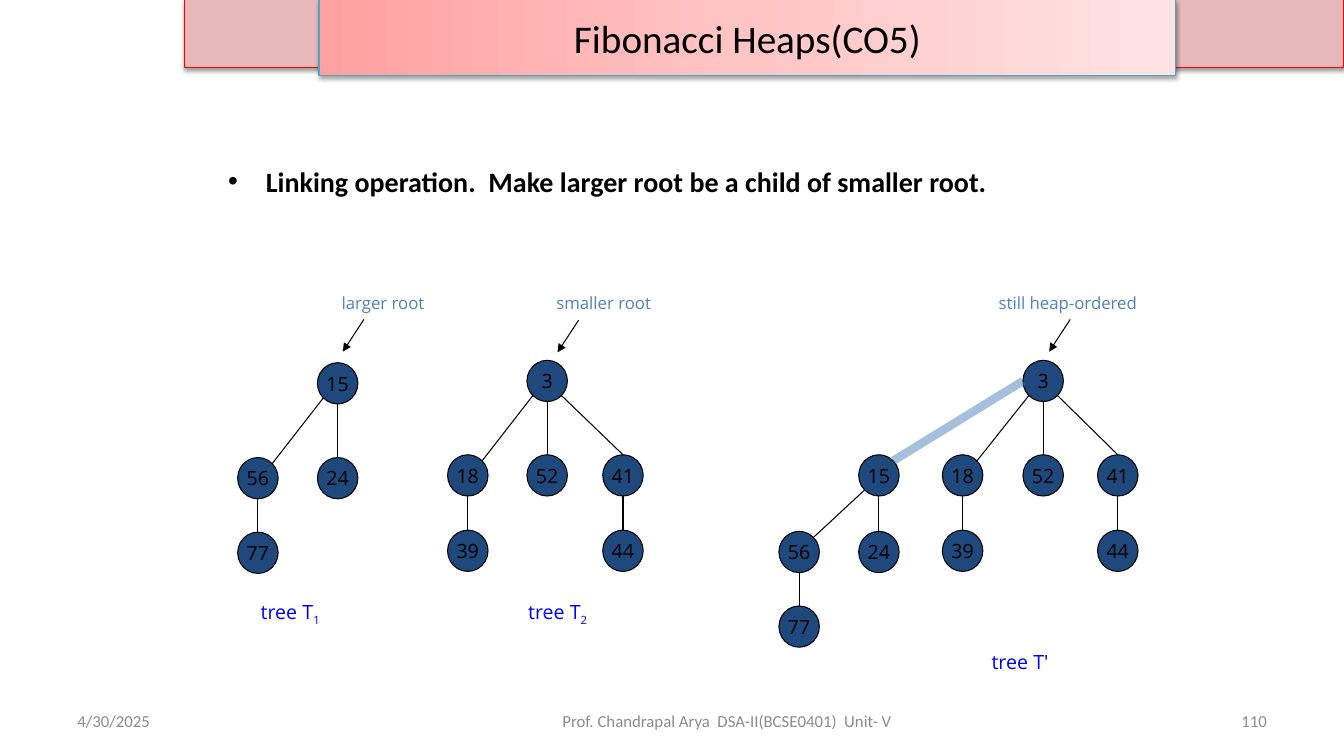
from lxml import etree
from pptx import Presentation
from pptx.dml.color import RGBColor
from pptx.enum import shapes, text
from pptx.oxml import ns
from pptx.util import Cm, Pt

COLORS = {
    "band": "E6B9B8", "band_line": "FF0000", "title_line": "46AAC5",
    "fade_start": "FFA0A0", "fade_middle": "FFC5C5", "fade_end": "FFE3E3",
    "node": "1F497D", "ink": "000000", "tree": "0000FF",
    "hint": "4F81BD", "footer": "8C8C8C",
}
TITLE = "Fibonacci Heaps(CO5)"
STATEMENT = "Linking operation.  Make larger root be a child of smaller root."
FADE = ((0, "fade_start"), (50, "fade_middle"), (100, "fade_end"))

# Each node: key, centre x, centre y, parent key (lengths in cm)
TREES = [
    [("15", 8.51, 9.66, None), ("56", 6.5, 12.05, "15"),
     ("24", 8.51, 12.05, "15"), ("77", 6.5, 13.93, "56")],
    [("3", 13.79, 9.6, None), ("18", 11.79, 11.98, "3"),
     ("52", 13.79, 11.98, "3"), ("41", 15.7, 11.98, "3"),
     ("39", 11.79, 13.88, "18"), ("44", 15.7, 13.88, "41")],
    [("3", 26.29, 9.6, None), ("18", 24.26, 11.98, "3"),
     ("52", 26.29, 11.98, "3"), ("41", 28.17, 11.98, "3"),
     ("39", 24.26, 13.88, "18"), ("44", 28.17, 13.88, "41"),
     ("15", 22.15, 11.98, "3"), ("56", 20.14, 13.91, "15"),
     ("24", 22.15, 13.91, "15"), ("77", 20.14, 15.79, "56")],
]
NEW_LINK = ("15", "3")
# Name, subscript, left, top, width
TREE_NAMES = [("tree T", "1", 6.32, 14.99, 2.13),
              ("tree T", "2", 13.06, 14.99, 2.13),
              ("tree T'", "", 24.74, 16.26, 2.03)]
# Wording, left, top, width, x where its arrow starts
ROOT_HINTS = [("larger root", 8.36, 7.24, 2.77, 9.17),
              ("smaller root", 13.77, 7.26, 3.02, 14.58),
              ("still heap-ordered", 24.92, 7.24, 4.11, 26.97)]
FOOTER = [("4/30/2025", 1.7, 7.9, "LEFT"),
          ("Prof. Chandrapal Arya  DSA-II(BCSE0401)  Unit- V", 12.9, 10.85, "CENTER"),
          ("110", 24.28, 7.9, "RIGHT")]

NODE_W, NODE_H = 1.02, 1.04
DIAGONAL = 0.71  # share of the radius at 45 degrees


def rgb(name):
    return RGBColor.from_string(COLORS[name])


def sub(parent, tag, **attributes):
    return etree.SubElement(parent, ns.qn(tag), attributes)


def write(paragraph, wording, size, color, font="Open Sans", bold=False):
    run = paragraph.add_run()
    run.text = wording
    run.font.name, run.font.size, run.font.bold = font, Pt(size), bold
    run.font.color.rgb = rgb(color)
    return run


def add_box(left, top, width, height, wrap=False, middle=False):
    """Add an empty text box and return its first paragraph."""
    frame = slide.shapes.add_textbox(Cm(left), Cm(top), Cm(width), Cm(height)).text_frame
    frame.word_wrap = wrap
    frame.auto_size = text.MSO_AUTO_SIZE.NONE if wrap else text.MSO_AUTO_SIZE.SHAPE_TO_FIT_TEXT
    if middle:
        frame.vertical_anchor = text.MSO_ANCHOR.MIDDLE
    return frame.paragraphs[0]


def add_outlined(kind, left, top, width, height, line_color):
    shape = slide.shapes.add_shape(kind, Cm(left), Cm(top), Cm(width), Cm(height))
    shape.shadow.inherit = False
    shape.line.color.rgb = rgb(line_color)
    shape.line.width = Pt(0.75)
    return shape


def drop_shadow(shape):
    effects = shape._element.spPr.find(ns.qn("a:effectLst"))
    shadow = sub(effects, "a:outerShdw", blurRad="40000", dist="20000",
                 dir="5400000", rotWithShape="0")
    sub(sub(shadow, "a:srgbClr", val=COLORS["ink"]), "a:alpha", val="38000")


def add_line(start, end, color="ink", width=0.75):
    line = slide.shapes.add_connector(shapes.MSO_CONNECTOR.STRAIGHT,
                                      *(Cm(value) for value in (*start, *end)))
    line.line.color.rgb = rgb(color)
    line.line.width = Pt(width)
    sub(line._element.spPr, "a:effectLst")
    return line


def rim(centre, across, down):
    """Point on a node's outline, in radii from its centre."""
    return centre[0] + across * NODE_W / 2, centre[1] + down * NODE_H / 2


def add_edge(child, parent):
    if child[0] < parent[0]:
        add_line(rim(child, DIAGONAL, -DIAGONAL), rim(parent, -DIAGONAL, DIAGONAL))
    elif child[0] > parent[0]:
        add_line(rim(child, 0, -1), rim(parent, DIAGONAL, DIAGONAL))
    else:
        add_line(rim(child, 0, -1), rim(parent, 0, 1))


def add_new_link(child, parent):
    link = add_line(rim(child, DIAGONAL, -DIAGONAL), rim(parent, -1, 0), "hint", 6)
    sub(next(link._element.spPr.iter(ns.qn("a:srgbClr"))), "a:alpha", val="50000")


def add_node(key, x, y):
    node = add_outlined(shapes.MSO_SHAPE.OVAL, x - NODE_W / 2, y - NODE_H / 2,
                        NODE_W, NODE_H, "ink")
    node.fill.solid()
    node.fill.fore_color.rgb = rgb("node")
    node.text_frame.word_wrap = False
    node.text_frame.vertical_anchor = text.MSO_ANCHOR.MIDDLE
    label = node.text_frame.paragraphs[0]
    label.alignment = text.PP_ALIGN.CENTER
    write(label, key, 14, "ink")


def add_tree(nodes):
    centres = {key: (x, y) for key, x, y, _ in nodes}
    for key, x, y, parent in nodes:
        add_node(key, x, y)
        if parent and (key, parent) != NEW_LINK:
            add_edge(centres[key], centres[parent])
    for key, _, _, parent in nodes:
        if (key, parent) == NEW_LINK:
            add_new_link(centres[key], centres[parent])


def add_header():
    band = add_outlined(shapes.MSO_SHAPE.RECTANGLE, 4.66, 0, 29.21, 1.7, "band_line")
    band.fill.solid()
    band.fill.fore_color.rgb = rgb("band")
    drop_shadow(band)
    banner = add_outlined(shapes.MSO_SHAPE.RECTANGLE, 8.04, 0, 21.59, 1.9, "title_line")
    banner.fill.gradient()
    banner.fill.gradient_angle = 0
    stops = next(banner._element.spPr.iter(ns.qn("a:gsLst")))
    stops.clear()
    for percent, color in FADE:
        sub(sub(stops, "a:gs", pos=str(percent * 1000)), "a:srgbClr", val=COLORS[color])
    drop_shadow(banner)
    banner.text_frame.vertical_anchor = text.MSO_ANCHOR.MIDDLE
    title = banner.text_frame.paragraphs[0]
    title.alignment = text.PP_ALIGN.CENTER
    write(title, TITLE, 28, "ink", "Calibri")


def add_statement():
    statement = add_box(5.5, 4.02, 22.86, 12.57, wrap=True)
    properties = statement._p.get_or_add_pPr()
    properties.set("marL", str(Cm(0.95)))
    properties.set("indent", str(-Cm(0.95)))
    sub(properties, "a:buFont", typeface="Arial")
    sub(properties, "a:buChar", char="•")
    write(statement, STATEMENT, 20, "ink", "Calibri", bold=True)


presentation = Presentation()
presentation.slide_width, presentation.slide_height = Cm(33.87), Cm(19.05)
slide = presentation.slides.add_slide(presentation.slide_layouts[6])

add_header()
add_statement()
for tree in TREES:
    add_tree(tree)
for name, subscript, left, top, width in TREE_NAMES:
    caption = add_box(left, top, width, 0.84)
    write(caption, name, 14, "tree")
    if subscript:
        index = write(caption, subscript, 14, "tree")
        index.font._element.set("baseline", "-25000")
for hint, left, top, width, arrow_x in ROOT_HINTS:
    write(add_box(left, top, width, 0.76), hint, 12, "hint")
    arrow = add_line((arrow_x, top + 0.81), (arrow_x - 0.53, top + 1.62))
    sub(arrow.line._get_or_add_ln(), "a:tailEnd", type="triangle")
for wording, left, width, side in FOOTER:
    note = add_box(left, 17.65, width, 1.02, wrap=True, middle=True)
    note.alignment = text.PP_ALIGN[side]
    write(note, wording, 12, "footer", "Calibri")

presentation.save("out.pptx")
